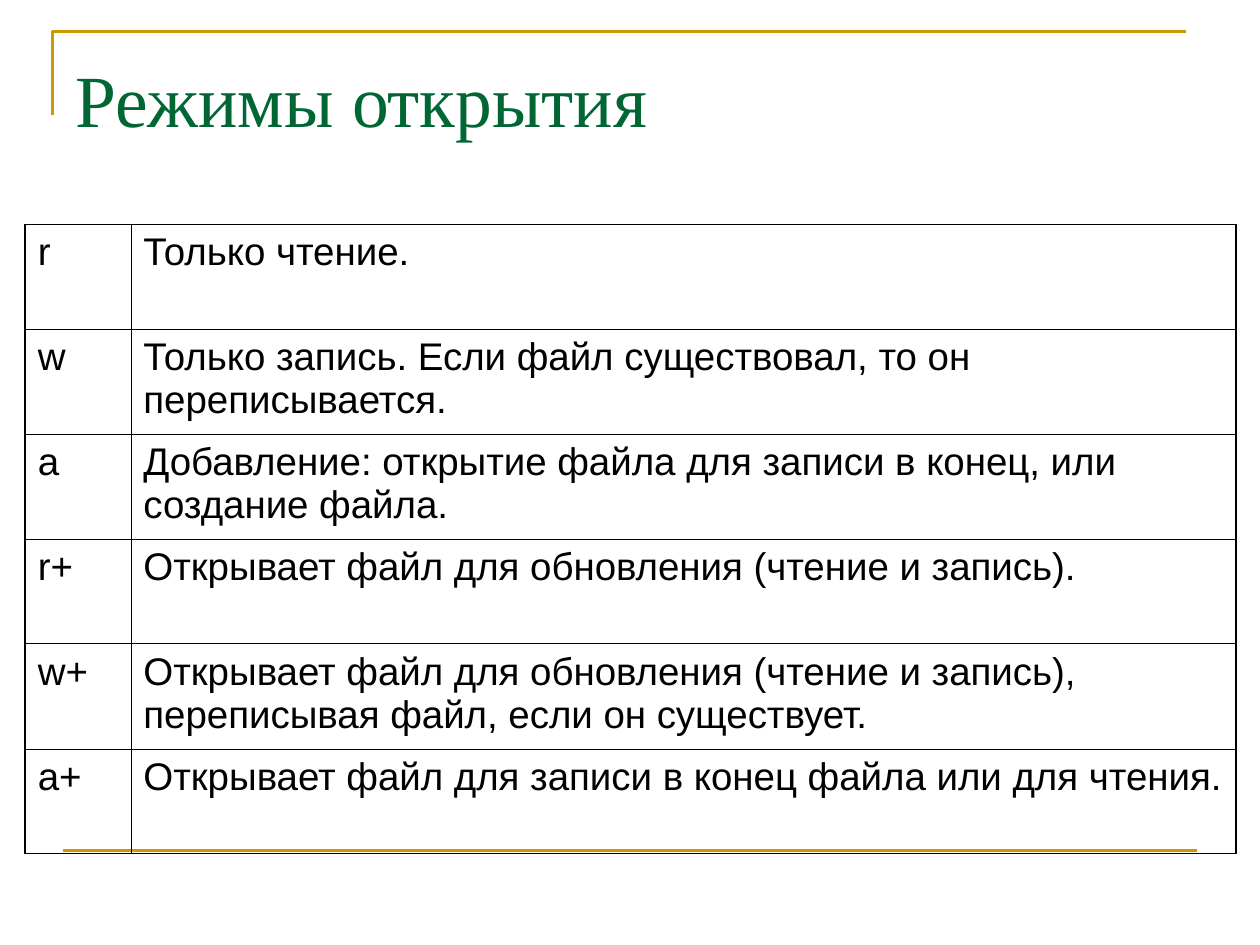
"""Build a slide with a table of file opening modes."""
import pptx
import pptx.dml.color
import pptx.enum.shapes
import pptx.enum.text
import pptx.oxml.ns
import pptx.util
from lxml import etree

Pt = pptx.util.Pt
RGB = pptx.dml.color.RGBColor
GOLD = RGB(0xCC, 0x99, 0x00)
GREEN = RGB(0x00, 0x66, 0x33)
BLACK = RGB(0x00, 0x00, 0x00)
qn = pptx.oxml.ns.qn


def write(frame, text, font, size, color, before=0):
    frame.word_wrap = True
    para = frame.paragraphs[0]
    para.space_before = Pt(before)
    run = para.add_run()
    run.text = text
    run.font.name = font
    run.font.size = Pt(size)
    run.font.color.rgb = color


def edge(cell, side, width):
    props = cell._tc.get_or_add_tcPr()
    line = etree.SubElement(props, qn("a:ln" + side), w=str(Pt(width)))
    fill = etree.SubElement(line, qn("a:solidFill"))
    etree.SubElement(fill, qn("a:srgbClr"), val=str(BLACK))


deck = pptx.Presentation()
deck.slide_width, deck.slide_height = Pt(720), Pt(540)
slide = deck.slides.add_slide(deck.slide_layouts[6])
shapes = slide.shapes

path = shapes.build_freeform(Pt(30), Pt(66), scale=1.0)
path.add_line_segments([(Pt(30), Pt(18)), (Pt(678), Pt(18))], close=False)
frame = path.convert_to_shape()
frame.shadow.inherit = False
frame.fill.background()

rule = shapes.add_connector(
    pptx.enum.shapes.MSO_CONNECTOR.STRAIGHT, Pt(36), Pt(486), Pt(684), Pt(486))
etree.SubElement(rule._element.spPr, qn("a:effectLst"))
for item in (frame, rule):
    item.line.color.rgb = GOLD
    item.line.width = Pt(1.5)

title = shapes.add_textbox(Pt(36), Pt(21.6), Pt(648), Pt(90)).text_frame
title.vertical_anchor = pptx.enum.text.MSO_ANCHOR.TOP
title.margin_top = Pt(9)
write(title, "Режимы открытия", font="Times New Roman", size=42, color=GREEN)

modes = [
    ("r", "Только чтение."),
    ("w", "Только запись. Если файл существовал, то он переписывается."),
    ("a", "Добавление: открытие файла для записи в конец, или создание файла."),
    ("r+", "Открывает файл для обновления (чтение и запись)."),
    ("w+", "Открывает файл для обновления (чтение и запись), "
           "переписывая файл, если он существует."),
    ("a+", "Открывает файл для записи в конец файла или для чтения."),
]
table = shapes.add_table(
    len(modes), 2, Pt(14.4), Pt(128.2), Pt(691.9), Pt(359.1)).table
table.first_row = table.horz_banding = False
table.columns[0].width = Pt(60.4)
table.columns[1].width = Pt(631.5)
last = len(modes) - 1
for row, mode in enumerate(modes):
    table.rows[row].height = Pt(59.85)
    for col, text in enumerate(mode):
        cell = table.cell(row, col)
        write(cell.text_frame, text, font="Arial", size=22, color=BLACK, before=5.5)
        outer = {"L": col == 0, "R": col == 1, "T": row == 0, "B": row == last}
        for side, thick in outer.items():
            edge(cell, side, 1.08 if thick else 0.45)
        cell.fill.background()

deck.save("out.pptx")
